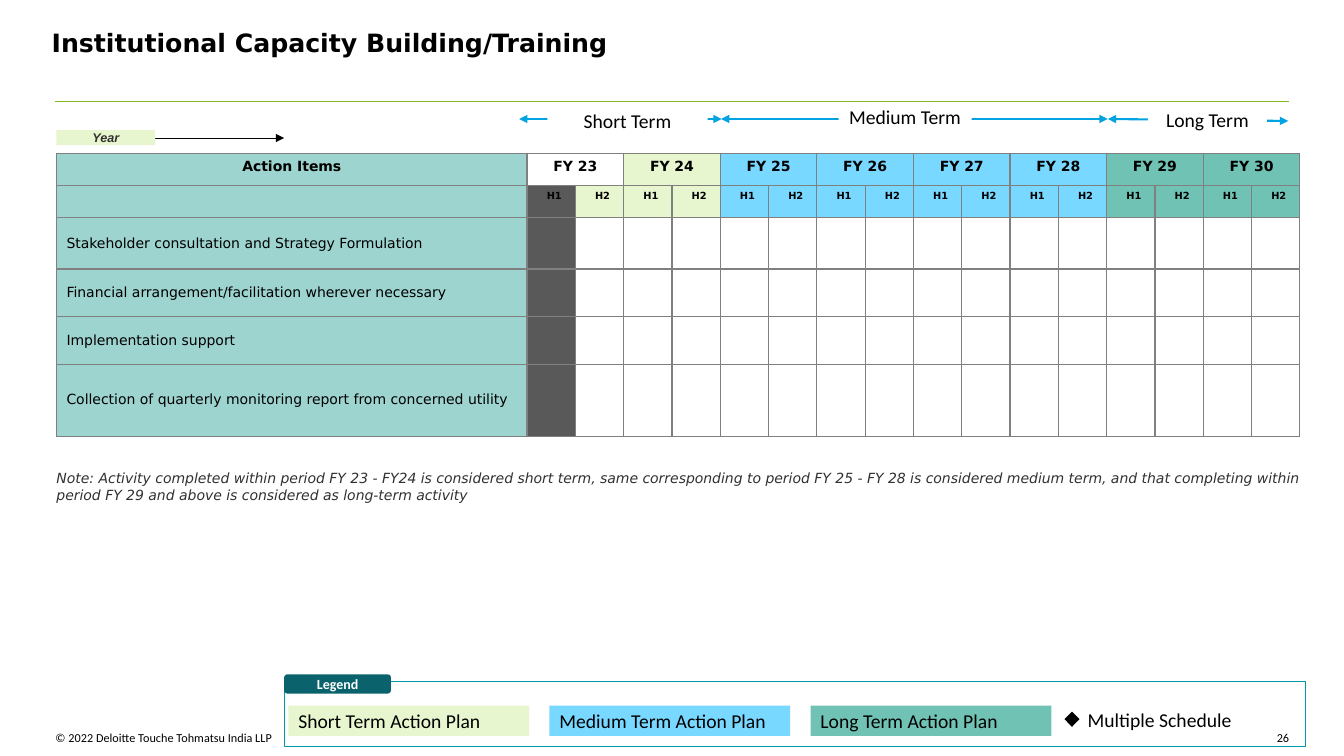
from dataclasses import dataclass

from lxml import etree
from pptx import Presentation
from pptx.dml.color import RGBColor
from pptx.enum.shapes import MSO_CONNECTOR, MSO_SHAPE
from pptx.enum.text import MSO_ANCHOR, MSO_AUTO_SIZE, PP_ALIGN
from pptx.oxml.ns import qn
from pptx.util import Pt

LEFT, CENTER, RIGHT, JUSTIFY = PP_ALIGN.LEFT, PP_ALIGN.CENTER, PP_ALIGN.RIGHT, PP_ALIGN.JUSTIFY
TOP, MIDDLE = MSO_ANCHOR.TOP, MSO_ANCHOR.MIDDLE
RECTANGLE, ROUNDED = MSO_SHAPE.RECTANGLE, MSO_SHAPE.ROUNDED_RECTANGLE
DIAMOND = MSO_SHAPE.FLOWCHART_DECISION
STRAIGHT = MSO_CONNECTOR.STRAIGHT

BLACK = RGBColor(0x00, 0x00, 0x00)
WHITE = RGBColor(0xFF, 0xFF, 0xFF)
DARK_GREY = RGBColor(0x31, 0x31, 0x31)
ELAPSED_GREY = RGBColor(0x59, 0x59, 0x59)
RULE_GREEN = RGBColor(0x86, 0xBC, 0x25)
ARROW_BLUE = RGBColor(0x00, 0xA3, 0xE0)
ACTION_TEAL = RGBColor(0x9D, 0xD4, 0xCF)
SHORT_GREEN = RGBColor(0xE8, 0xF6, 0xCF)
MEDIUM_BLUE = RGBColor(0x79, 0xD8, 0xFF)
LONG_TEAL = RGBColor(0x6F, 0xC2, 0xB4)
LEGEND_TEAL = RGBColor(0x0A, 0x62, 0x6C)
FRAME_TEAL = RGBColor(0x00, 0x97, 0xA9)
BORDER_GREY = "808080"

SANS = "DejaVu Sans"
CALIBRI = "Calibri"
INSETS = (7.2, 7.2, 7.2, 7.2)
NO_INSETS = (0, 0, 0, 0)


@dataclass(frozen=True)
class Style:
    size: float
    font: str = CALIBRI
    color: RGBColor = BLACK
    bold: bool = False
    italic: bool = False


@dataclass(frozen=True)
class Box:
    left: float
    top: float
    width: float
    height: float


@dataclass(frozen=True)
class Term:
    name: str
    color: RGBColor
    first_year: int
    years: int
    arrow: tuple[float, float, float, float]
    label: Box


FOOTER, LABEL = Style(8.7), Style(14)
HEADING, ACTION = Style(10, SANS, bold=True), Style(10, SANS)
HALF = Style(7, SANS, bold=True)

TERMS = [
    Term("Short Term", SHORT_GREEN, 23, 2, (370.8, 85, 515.5, 85), Box(391, 80, 114.5, 13)),
    Term("Medium Term", MEDIUM_BLUE, 25, 4, (515, 85, 791.3, 85), Box(599, 77.8, 95, 10.8)),
    Term("Long Term", LONG_TEAL, 29, 2, (791.3, 85, 920.2, 86.4), Box(820, 80, 85, 10.8)),
]
ACTIONS = [
    "Stakeholder consultation and Strategy Formulation",
    "Financial arrangement/facilitation wherever necessary",
    "Implementation support",
    "Collection of quarterly monitoring report from concerned utility",
]
ROW_HEIGHTS = [23, 23, 36.8, 34, 34, 51.4]
ACTION_WIDTH, HALF_WIDTH = 336.2, 34.5
NOTE = (
    "Note: Activity completed within period FY 23 - FY24 is considered short term, same "
    "corresponding to period FY 25 - FY 28 is considered medium term, and that completing "
    "within period FY 29 and above is considered as long-term activity"
)


def write(frame, text: str, style: Style, align=LEFT):
    paragraph = frame.paragraphs[0]
    paragraph.alignment = align
    run = paragraph.add_run()
    run.text = text
    font = run.font
    font.size, font.name, font.color.rgb = Pt(style.size), style.font, style.color
    font.bold, font.italic = style.bold, style.italic
    return paragraph


def set_frame(frame, insets: tuple, anchor) -> None:
    frame.word_wrap, frame.auto_size, frame.vertical_anchor = True, MSO_AUTO_SIZE.NONE, anchor
    frame.margin_left, frame.margin_top, frame.margin_right, frame.margin_bottom = map(Pt, insets)


def bounds(box: Box) -> list:
    return [Pt(value) for value in (box.left, box.top, box.width, box.height)]


def add_text(shapes, box: Box, text: str, style: Style, align=LEFT,
             insets: tuple = NO_INSETS, anchor=TOP) -> None:
    frame = shapes.add_textbox(*bounds(box)).text_frame
    set_frame(frame, insets, anchor)
    write(frame, text, style, align)


def add_block(shapes, box: Box, fill: RGBColor | None, text: str = "", style: Style = LABEL,
              align=CENTER, insets: tuple = INSETS, anchor=MIDDLE, kind=RECTANGLE):
    shape = shapes.add_shape(kind, *bounds(box))
    shape.shadow.inherit = False
    shape.line.fill.background()
    if fill is None:
        shape.fill.background()
    else:
        shape.fill.solid()
        shape.fill.fore_color.rgb = fill
    if text:
        set_frame(shape.text_frame, insets, anchor)
        write(shape.text_frame, text, style, align)
    return shape


def add_line(shapes, ends: tuple, color: RGBColor, width: float, arrows: bool = True) -> None:
    connector = shapes.add_connector(STRAIGHT, *map(Pt, ends))
    connector.line.color.rgb, connector.line.width = color, Pt(width)
    properties = connector._element.spPr
    if arrows:
        for end in ("a:headEnd", "a:tailEnd"):
            etree.SubElement(properties.find(qn("a:ln")), qn(end), type="triangle")
    etree.SubElement(properties, qn("a:effectLst"))


def format_cell(cell, fill: RGBColor | None, text: str = "", style: Style = HALF,
                align=CENTER, anchor=TOP) -> None:
    properties = cell._tc.get_or_add_tcPr()
    for side in ("a:lnL", "a:lnR", "a:lnT", "a:lnB"):
        border = etree.SubElement(properties, qn(side), w=str(Pt(1)))
        solid = etree.SubElement(border, qn("a:solidFill"))
        etree.SubElement(solid, qn("a:srgbClr"), val=BORDER_GREY)
    if fill is None:
        cell.fill.background()
    else:
        cell.fill.solid()
        cell.fill.fore_color.rgb = fill
    cell.vertical_anchor = anchor
    if text:
        write(cell.text_frame, text, style, align)
    else:
        # Keeps an empty cell from stretching its row
        etree.SubElement(cell.text_frame.paragraphs[0]._p, qn("a:endParaRPr"), sz="700")


def add_schedule(shapes) -> None:
    years = [(term.first_year + offset, term.color) for term in TERMS for offset in range(term.years)]
    columns = 1 + 2 * len(years)
    width = ACTION_WIDTH + HALF_WIDTH * (columns - 1)
    box = Box(40.3, 109.4, width, sum(ROW_HEIGHTS))
    table = shapes.add_table(len(ROW_HEIGHTS), columns, *bounds(box)).table
    table.first_row = table.horz_banding = False
    for index, column in enumerate(table.columns):
        column.width = Pt(HALF_WIDTH if index else ACTION_WIDTH)
    for row, height in zip(table.rows, ROW_HEIGHTS):
        row.height = Pt(height)

    # Years and their halves
    format_cell(table.cell(0, 0), ACTION_TEAL, "Action Items", HEADING)
    format_cell(table.cell(1, 0), ACTION_TEAL)
    for index, (year, color) in enumerate(years):
        first = 1 + 2 * index
        year_fill = color if index else None
        format_cell(table.cell(0, first), year_fill, f"FY {year}", HEADING)
        format_cell(table.cell(0, first + 1), year_fill)
        table.cell(0, first).merge(table.cell(0, first + 1))
        for half in range(2):
            cell = table.cell(1, first + half)
            format_cell(cell, color if index + half else ELAPSED_GREY, f"H{half + 1}")
            cell.margin_right = Pt(2.9)

    # Action rows
    for row, action in enumerate(ACTIONS, start=2):
        format_cell(table.cell(row, 0), ACTION_TEAL, action, ACTION, LEFT, MIDDLE)
        for column in range(1, columns):
            format_cell(table.cell(row, column), ELAPSED_GREY if column == 1 else None)


def add_legend(slide) -> None:
    shapes = slide.shapes.add_group_shape().shapes
    frame = add_block(shapes, Box(203, 486.7, 729.4, 46), None)
    frame.line.color.rgb, frame.line.width = FRAME_TEAL, Pt(0.25)
    add_block(shapes, Box(203, 481.7, 76.3, 13.7), LEGEND_TEAL, "Legend",
              Style(10, color=WHITE, bold=True), insets=NO_INSETS, anchor=TOP, kind=ROUNDED)
    for index, term in enumerate(TERMS):
        add_block(shapes, Box(206 + 186.5 * index, 504, 172, 21.6), term.color,
                  f"{term.name} Action Plan", align=JUSTIFY)
    add_text(shapes, Box(756.7, 503.3, 167, 21.6), "Multiple Schedule", LABEL, JUSTIFY,
             (20.2, 7.2, 7.2, 7.2), MIDDLE)
    add_block(shapes, Box(760.3, 508.3, 10.8, 10.8), BLACK, kind=DIAMOND).rotation = 90


def main() -> None:
    presentation = Presentation()
    presentation.slide_width, presentation.slide_height = Pt(960), Pt(540)
    slide = presentation.slides.add_slide(presentation.slide_layouts[5])
    shapes = slide.shapes

    # Title and footer
    title = shapes.title
    title.left, title.top, title.width, title.height = bounds(Box(36.9, 20.9, 888.5, 36.7))
    set_frame(title.text_frame, NO_INSETS, TOP)
    write(title.text_frame, "Institutional Capacity Building/Training",
          Style(18, SANS, bold=True)).line_spacing = 0.95
    add_text(shapes, Box(39.6, 522, 422, 15.8), "© 2022 Deloitte Touche Tohmatsu India LLP", FOOTER)
    add_text(shapes, Box(896.4, 522, 24.5, 8), "26", FOOTER, RIGHT)

    # Schedule with its year marker
    add_schedule(shapes)
    add_line(shapes, (44, 98.6, 203, 98.6), BLACK, 0.75)
    add_block(shapes, Box(40.3, 92.9, 70.6, 10.8), SHORT_GREEN, "Year",
              Style(9, "Arial", DARK_GREY, True, True), insets=NO_INSETS, anchor=TOP)

    # Term arrows above the schedule
    add_line(shapes, (39, 72.7, 921, 72.7), RULE_GREEN, 1, arrows=False)
    for term in TERMS:
        add_line(shapes, term.arrow, ARROW_BLUE, 1.5)
    for term in TERMS:
        add_block(shapes, term.label, WHITE, term.name)

    # Legend and note
    add_legend(slide)
    add_text(shapes, Box(40.3, 335.5, 889.2, 24.5), NOTE, Style(10, SANS, DARK_GREY, italic=True))
    presentation.save("out.pptx")


if __name__ == "__main__":
    main()
